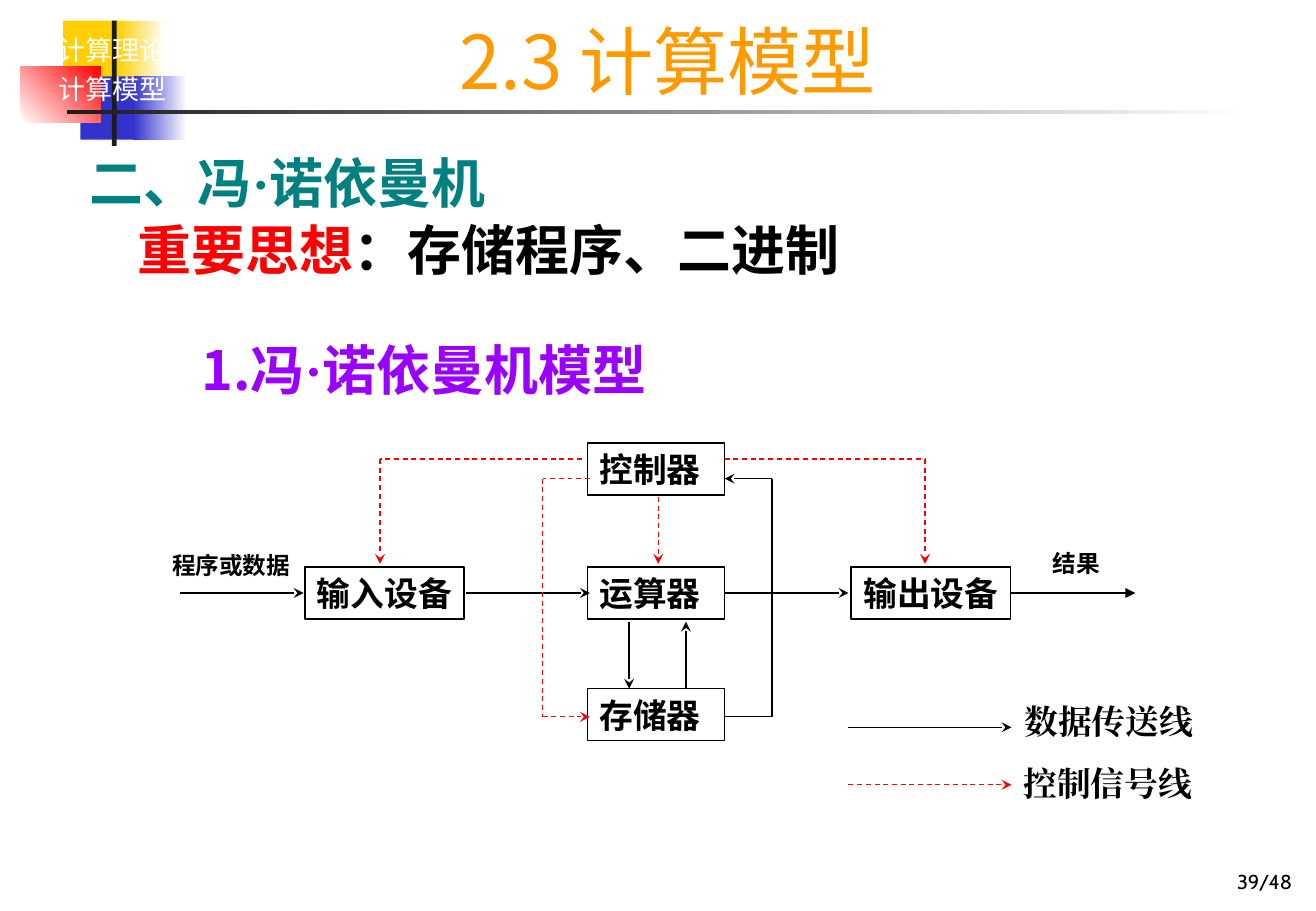
from itertools import pairwise

from lxml.etree import SubElement
from pptx import Presentation
from pptx.dml.color import RGBColor
from pptx.enum.dml import MSO_LINE
from pptx.enum.shapes import MSO_CONNECTOR, MSO_SHAPE
from pptx.enum.text import MSO_ANCHOR, MSO_AUTO_SIZE, PP_ALIGN
from pptx.oxml.ns import qn
from pptx.util import Cm, Pt

COLOURS = {
    "black": "000000",
    "white": "FFFFFF",
    "charcoal": "1C1C1C",
    "yellow": "FFCF01",
    "blue": "3333CC",
    "red": "FF0000",
    "orange": "FF9900",
    "teal": "008080",
    "purple": "9900FF",
}
CJK = "Noto Sans CJK SC"
LATIN = "Times New Roman"


def rgb(colour):
    return RGBColor.from_string(COLOURS[colour])


def write(paragraph, text, size=20, font=CJK, colour="black", bold=True):
    run = paragraph.add_run()
    run.text = text
    run.font.size = Pt(size)
    run.font.bold = bold
    run.font.color.rgb = rgb(colour)
    run.font.name = font
    SubElement(run.font._element, qn("a:ea"), typeface=font)


def prepare_frame(shape, anchor=MSO_ANCHOR.MIDDLE, wrap=True):
    frame = shape.text_frame
    frame.auto_size = MSO_AUTO_SIZE.NONE
    frame.vertical_anchor = anchor
    frame.word_wrap = wrap
    return frame


def add_text_box(slide, left, top, width, height, **frame_options):
    box = slide.shapes.add_textbox(Cm(left), Cm(top), Cm(width), Cm(height))
    return prepare_frame(box, **frame_options)


def add_band(slide, left, top, width, height, colours, angle=0):
    band = slide.shapes.add_shape(
        MSO_SHAPE.RECTANGLE, Cm(left), Cm(top), Cm(width), Cm(height))
    band.shadow.inherit = False
    band.line.fill.background()
    if len(colours) == 1:
        band.fill.solid()
        band.fill.fore_color.rgb = rgb(colours[0])
        return
    band.fill.gradient()
    band.fill.gradient_angle = angle
    for stop, position, colour in zip(band.fill.gradient_stops, (0, 1), colours):
        stop.position = position
        stop.color.rgb = rgb(colour)


def add_unit(slide, text, left, top, width, wrap=True):
    unit = slide.shapes.add_shape(
        MSO_SHAPE.RECTANGLE, Cm(left), Cm(top), Cm(width), Cm(1.09))
    unit.shadow.inherit = False
    unit.fill.background()
    unit.line.color.rgb = rgb("black")
    unit.line.width = Pt(1)
    paragraph = prepare_frame(unit, wrap=wrap).paragraphs[0]
    paragraph.alignment = PP_ALIGN.LEFT
    write(paragraph, text)


def add_route(slide, *points, control=False, arrow="stealth"):
    for start, end in pairwise(points):
        line = slide.shapes.add_connector(
            MSO_CONNECTOR.STRAIGHT, *map(Cm, start + end))
        line.line.width = Pt(0.75)
        line.line.color.rgb = rgb("red" if control else "black")
        if control:
            line.line.dash_style = MSO_LINE.DASH
        if arrow and end == points[-1]:
            SubElement(line.line._get_or_add_ln(), qn("a:tailEnd"), type=arrow)
        SubElement(line._element.spPr, qn("a:effectLst"))


def add_header(slide):
    add_band(slide, 1.32, 0.43, 1.32, 1.32, ["yellow"])
    add_band(slide, 2.46, 0.43, 0.99, 1.32, ["yellow", "white"])
    add_band(slide, 1.68, 1.6, 1.27, 1.32, ["blue"])
    add_band(slide, 2.79, 1.6, 1.12, 1.32, ["blue", "white"])
    add_band(slide, 0.43, 1.4, 1.68, 1.17, ["white", "red"], angle=45)
    add_band(slide, 2.34, 0.43, 0.1, 2.62, ["charcoal"])
    add_band(slide, 1.4, 2.31, 24.74, 0.08, ["charcoal", "white"])

    frame = add_text_box(slide, 0.76, 0.58, 3.2, 1.75)
    course, chapter = frame.paragraphs[0], frame.add_paragraph()
    chapter.space_before = Pt(4)
    for paragraph, text in ((course, "计算理论"), (chapter, "计算模型")):
        paragraph.alignment = PP_ALIGN.CENTER
        write(paragraph, text, size=16, font="Cabin", colour="white", bold=False)

    title = slide.shapes.title
    title.left, title.top, title.width, title.height = map(
        Cm, (4.17, 0.2, 19.61, 2.11))
    paragraph = prepare_frame(title).paragraphs[0]
    paragraph.alignment = PP_ALIGN.CENTER
    write(paragraph, "2.3 计算模型", size=44, colour="orange", bold=False)


def write_name(paragraph, before, after, colour):
    write(paragraph, before, size=32, colour=colour)
    write(paragraph, "·", size=32, font=LATIN, colour=colour)
    write(paragraph, after, size=32, colour=colour)


def add_headings(slide):
    frame = add_text_box(slide, 1.63, 3.15, 24.16, 3.56, anchor=MSO_ANCHOR.TOP)
    heading, idea = frame.paragraphs[0], frame.add_paragraph()
    heading.line_spacing = idea.line_spacing = 0.9
    idea.space_before = Pt(5)
    idea._p.get_or_add_pPr().set("marL", str(Cm(1)))
    write_name(heading, "二、冯", "诺依曼机", "teal")
    write(idea, "重要思想", size=32, colour="red")
    write(idea, "：存储程序、二进制", size=32)

    frame = add_text_box(slide, 3.96, 6.91, 13, 1.63)
    write_name(frame.paragraphs[0], "1.冯", "诺依曼机模型", "purple")


def add_machine(slide):
    for text, top in (("控制器", 9.27), ("运算器", 11.86), ("存储器", 14.4)):
        add_unit(slide, text, 12.29, top, 2.87)
    for text, left in (("输入设备", 6.38), ("输出设备", 17.81)):
        add_unit(slide, text, left, 11.86, 3.33, wrap=False)
    for text, left, top, width in (("程序或数据", 3.35, 11.4, 2.97),
                                   ("结果", 21.77, 11.35, 1.5)):
        frame = add_text_box(slide, left, top, width, 0.84, wrap=False)
        write(frame.paragraphs[0], text, size=14)

    for left in (3.76, 9.75, 15.16):
        add_route(slide, (left, 12.4), (left + 2.59, 12.4))
    add_route(slide, (21.16, 12.4), (23.75, 12.4), arrow="triangle")
    add_route(slide, (13.16, 13), (13.16, 14.4))
    add_route(slide, (14.35, 14.4), (14.35, 13))
    add_route(slide, (15.16, 14.99), (16.15, 14.99), (16.15, 10.01), (15.16, 10.01))

    add_route(slide, (13.77, 10.39), (13.77, 11.79), control=True)
    add_route(slide, (12.34, 10.01), (11.35, 10.01), (11.35, 14.99),
              (12.34, 14.99), control=True)
    add_route(slide, (15.16, 9.6), (19.35, 9.6), (19.35, 11.79), control=True)
    add_route(slide, (12.17, 9.6), (7.95, 9.6), (7.95, 11.79), control=True)


def add_legend(slide):
    for text, left, top, line_top, control in (
            ("数据传送线", 21.18, 14.53, 15.21, False),
            ("控制信号线", 21.16, 15.82, 16.41, True)):
        frame = add_text_box(slide, left, top, 4.78, 1.09)
        write(frame.paragraphs[0], text, font="Cambria")
        add_route(slide, (17.75, line_top), (21.16, line_top), control=control)


def add_page_number(slide):
    frame = add_text_box(slide, 24.36, 17.98, 2.92, 0.84, anchor=MSO_ANCHOR.BOTTOM)
    frame.paragraphs[0].alignment = PP_ALIGN.RIGHT
    write(frame.paragraphs[0], "39/48", size=11.9, font="Cabin", bold=False)


def main():
    presentation = Presentation()
    presentation.slide_width = Cm(27.53)
    presentation.slide_height = Cm(19.05)
    slide = presentation.slides.add_slide(presentation.slide_layouts[5])
    add_header(slide)
    add_headings(slide)
    add_machine(slide)
    add_legend(slide)
    add_page_number(slide)
    presentation.save("out.pptx")


if __name__ == "__main__":
    main()
